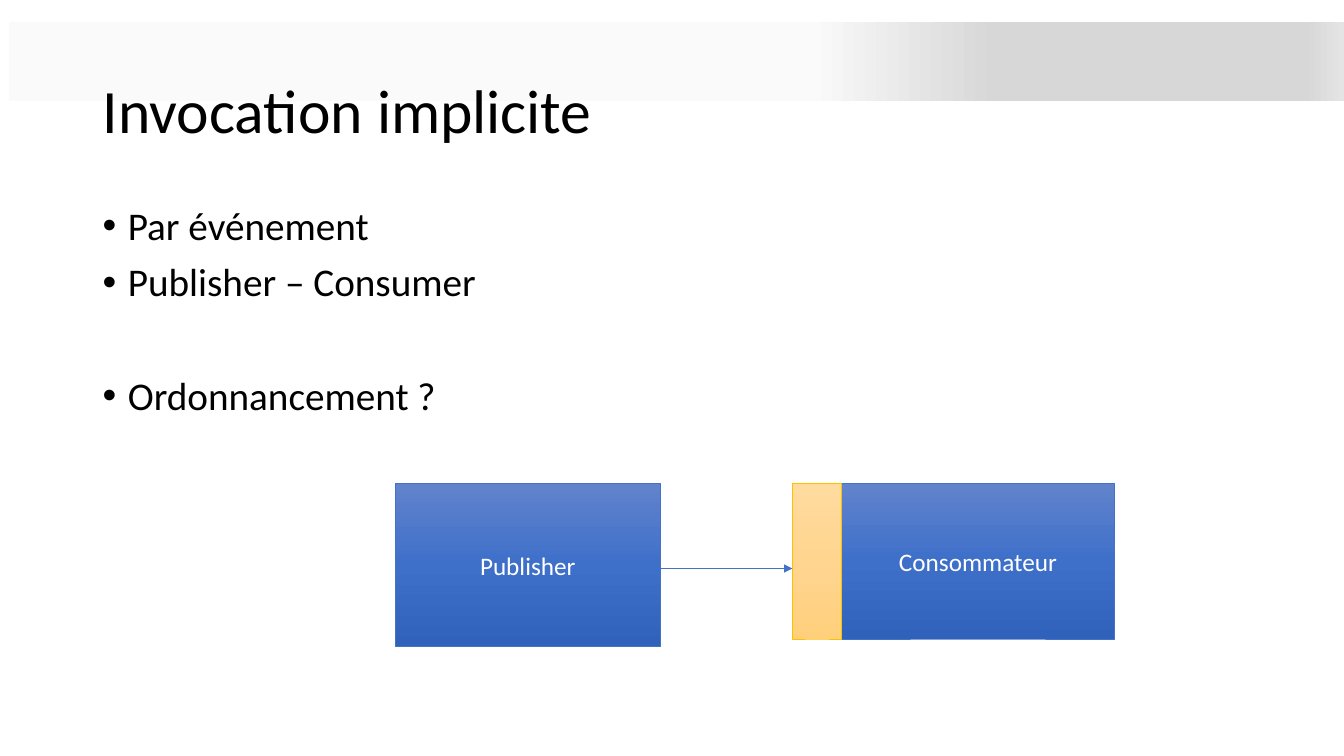
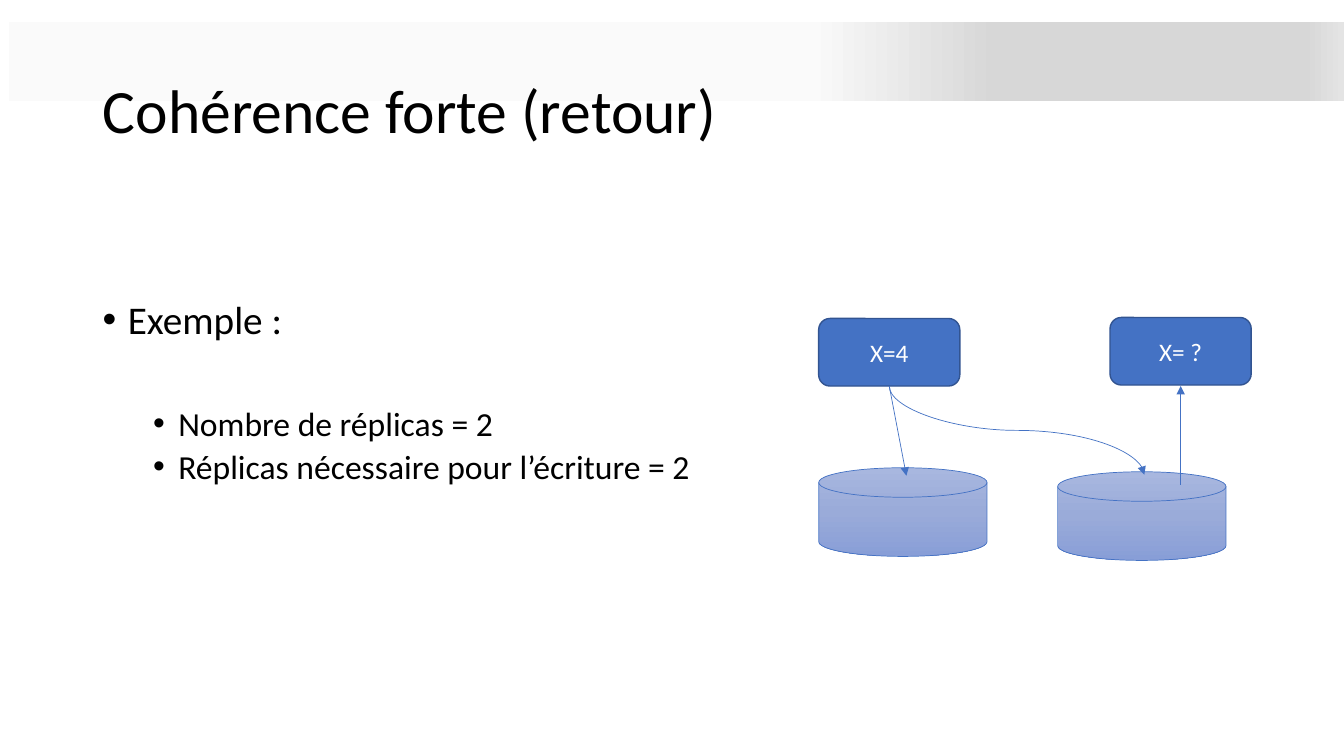
import pptx
import pptx.util
import pptx.dml.color
import pptx.enum.shapes
import pptx.enum.text
import pptx.oxml
from lxml import etree
from pptx.oxml.ns import qn

Inches, Pt = pptx.util.Inches, pptx.util.Pt
RGB = pptx.dml.color.RGBColor
SHAPE = pptx.enum.shapes.MSO_SHAPE
CONNECTOR = pptx.enum.shapes.MSO_CONNECTOR
ALIGN = pptx.enum.text.PP_ALIGN
ANCHOR = pptx.enum.text.MSO_ANCHOR

# Colours and gradients (position in percent, colour)
FONT = "Calibri"
BLACK = RGB(0x00, 0x00, 0x00)
WHITE = RGB(0xFF, 0xFF, 0xFF)
BLUE = RGB(0x44, 0x72, 0xC4)
DARK_BLUE = RGB(0x32, 0x54, 0x91)
GOLD = RGB(0xFF, 0xC0, 0x00)
SILVER = RGB(0xD7, 0xD7, 0xD7)
BAND_STOPS = [(60, RGB(0xFA, 0xFA, 0xFA)), (74, SILVER), (97, SILVER),
              (100, RGB(0xE4, 0xE4, 0xE4))]
BLUE_STOPS = [(0, RGB(0x61, 0x83, 0xCB)), (50, RGB(0x3E, 0x70, 0xCA)),
              (100, RGB(0x30, 0x62, 0xBB))]
GOLD_STOPS = [(0, RGB(0xFF, 0xDB, 0x9E)), (50, RGB(0xFF, 0xD5, 0x90)),
              (100, RGB(0xFF, 0xD0, 0x7C))]
DISK_STOPS = [(0, RGB(0xA8, 0xB7, 0xDF)), (50, RGB(0x9A, 0xAB, 0xD9)),
              (100, RGB(0x88, 0x9E, 0xD7))]

# Shape styles: preset, fill, line colour, line width
BOX = (SHAPE.RECTANGLE, BLUE_STOPS, BLUE, 0.5)
QUEUE = (SHAPE.RECTANGLE, GOLD_STOPS, GOLD, 0.5)
DISK = (SHAPE.FLOWCHART_MAGNETIC_DISK, DISK_STOPS, BLUE, 0.5)
CLIENT = (SHAPE.ROUNDED_RECTANGLE, BLUE, DARK_BLUE, 1)

# Bullet levels: text size, left indent in inches
LEVELS = [(28, 0.25), (24, 0.75)]

# Content: bullets are (text, level, space before)
SLIDES = [
    dict(
        title="Invocation implicite",
        body=(0.92, 2, 11.5, 4.76),
        bullets=[("Par événement", 0, 0),
                 ("Publisher – Consumer", 0, 10),
                 ("Ordonnancement ?", 0, 51)],
        shapes=[(BOX, "Publisher", (3.92, 4.8, 2.63, 1.61)),
                (BOX, "Consommateur", (8.35, 4.8, 2.7, 1.54)),
                (QUEUE, "", (7.86, 4.8, 0.49, 1.54))],
        arrows=[((6.56, 5.64), (7.86, 5.64))],
        curves=[],
    ),
    dict(
        title="Cohérence forte (retour)",
        body=(0.92, 2.93, 6.12, 3.83),
        bullets=[("Exemple :", 0, 0),
                 ("Nombre de réplicas = 2", 1, 46),
                 ("Réplicas nécessaire pour l’écriture = 2", 1, 5)],
        shapes=[(DISK, "", (10.49, 4.68, 1.67, 0.88)),
                (DISK, "", (8.12, 4.64, 1.67, 0.88)),
                (CLIENT, "X=4", (8.12, 3.16, 1.4, 0.67)),
                (CLIENT, "X= ?", (11.01, 3.15, 1.4, 0.67))],
        arrows=[((8.82, 3.83), (8.99, 4.72)), ((11.71, 4.81), (11.71, 3.83))],
        curves=[((8.82, 3.83), (11.35, 4.71))],
    ),
]


def inches(values):
    return [Inches(v) for v in values]


def add_text(p, text, size=18, color=BLACK, align=None, spacing=None, before=None):
    p.alignment = align
    p.line_spacing = spacing
    if before:
        p.space_before = Pt(before)
    r = p.add_run()
    r.text = text
    r.font.name, r.font.size, r.font.color.rgb = FONT, Pt(size), color


def set_gradient(sp, stops, angle):
    sp.fill.gradient()
    grad = sp._element.spPr.find(qn("a:gradFill"))
    gs_list = grad.find(qn("a:gsLst"))
    for gs in list(gs_list):
        gs_list.remove(gs)
    for position, color in stops:
        gs = etree.SubElement(gs_list, qn("a:gs"), pos=str(position * 1000))
        etree.SubElement(gs, qn("a:srgbClr"), val=str(color))
    grad.find(qn("a:lin")).set("ang", str(angle * 60000))


def add_shape(s, style, text, at, angle=90):
    preset, fill, line, width = style
    sp = s.shapes.add_shape(preset, *inches(at))
    sp.shadow.inherit = False
    if isinstance(fill, list):
        set_gradient(sp, fill, angle)
    else:
        sp.fill.solid()
        sp.fill.fore_color.rgb = fill
    if line is None:
        sp.line.fill.background()
    else:
        sp.line.color.rgb, sp.line.width = line, Pt(width)
    if text:
        sp.text_frame.vertical_anchor = ANCHOR.MIDDLE
        add_text(sp.text_frame.paragraphs[0], text, color=WHITE, align=ALIGN.CENTER)
    return sp


def add_arrow(s, start, end, kind=CONNECTOR.STRAIGHT):
    cxn = s.shapes.add_connector(kind, *inches(start + end))
    cxn.line.color.rgb, cxn.line.width = BLUE, Pt(0.5)
    etree.SubElement(cxn.line._get_or_add_ln(), qn("a:tailEnd"), type="triangle")
    etree.SubElement(cxn._element.spPr, qn("a:effectLst"))
    return cxn


def add_curve(s, start, end):
    """Curve that leaves and arrives vertically: a quarter turn, mirrored."""
    (x1, y1), (x2, y2) = start, end
    cx, cy, w, h = (x1 + x2) / 2, (y1 + y2) / 2, y2 - y1, x2 - x1
    cxn = add_arrow(s, (cx - w / 2, cy - h / 2), (cx + w / 2, cy + h / 2),
                    CONNECTOR.CURVE)
    xfrm = cxn._element.spPr.find(qn("a:xfrm"))
    xfrm.set("rot", str(270 * 60000))
    xfrm.set("flipH", "1")


def add_bullets(s, at, bullets):
    tf = s.shapes.add_textbox(*inches(at)).text_frame
    tf.word_wrap = True
    for i, (text, level, before) in enumerate(bullets):
        p = tf.add_paragraph() if i else tf.paragraphs[0]
        size, indent = LEVELS[level]
        p.level = level
        pPr = p._p.get_or_add_pPr()
        pPr.set("marL", str(Inches(indent)))
        pPr.set("indent", str(Inches(-0.25)))
        etree.SubElement(pPr, qn("a:buFont"), typeface="Arial")
        etree.SubElement(pPr, qn("a:buChar"), char="•")
        add_text(p, text, size=size, spacing=0.9, before=before)


def add_title(s, text):
    title = s.shapes.title
    title.left, title.top, title.width, title.height = inches((0.92, 0.4, 11.5, 1.45))
    title.text_frame.vertical_anchor = ANCHOR.MIDDLE
    add_text(title.text_frame.paragraphs[0], text, size=44, align=ALIGN.LEFT, spacing=0.9)


def main():
    prs = pptx.Presentation()
    prs.slide_width, prs.slide_height = Inches(13.33), Inches(7.5)
    layout = prs.slide_layouts[5]

    for number, content in enumerate(SLIDES):
        s = prs.slides.add_slide(layout)
        if number == 0:
            # The band belongs to the layout, behind everything
            band = add_shape(s, (SHAPE.RECTANGLE, BAND_STOPS, None, 0), "",
                             (0.09, 0.22, 13.24, 0.78), angle=0)
            layout.shapes._spTree.insert(2, band._element)
        add_title(s, content["title"])
        add_bullets(s, content["body"], content["bullets"])
        for style, text, at in content["shapes"]:
            add_shape(s, style, text, at)
        for start, end in content["arrows"]:
            add_arrow(s, start, end)
        for start, end in content["curves"]:
            add_curve(s, start, end)

    prs.save("out.pptx")


if __name__ == "__main__":
    main()
